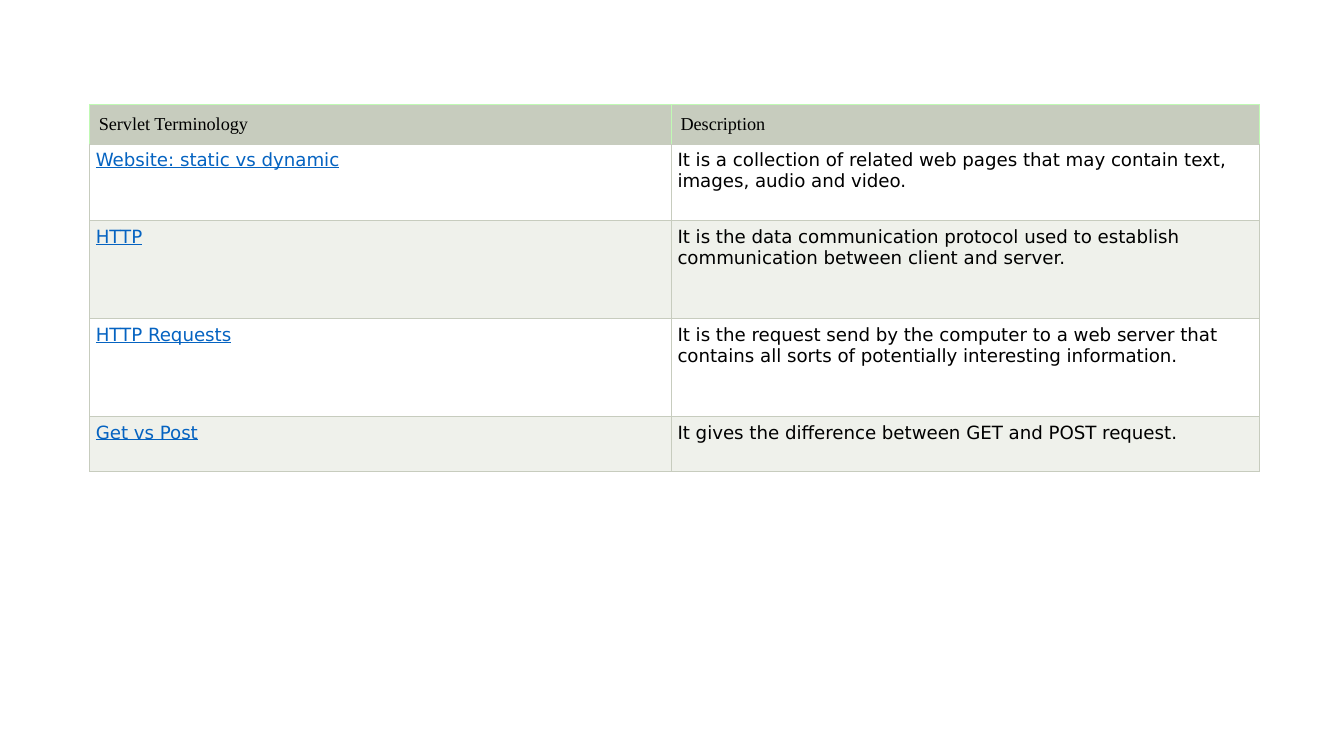
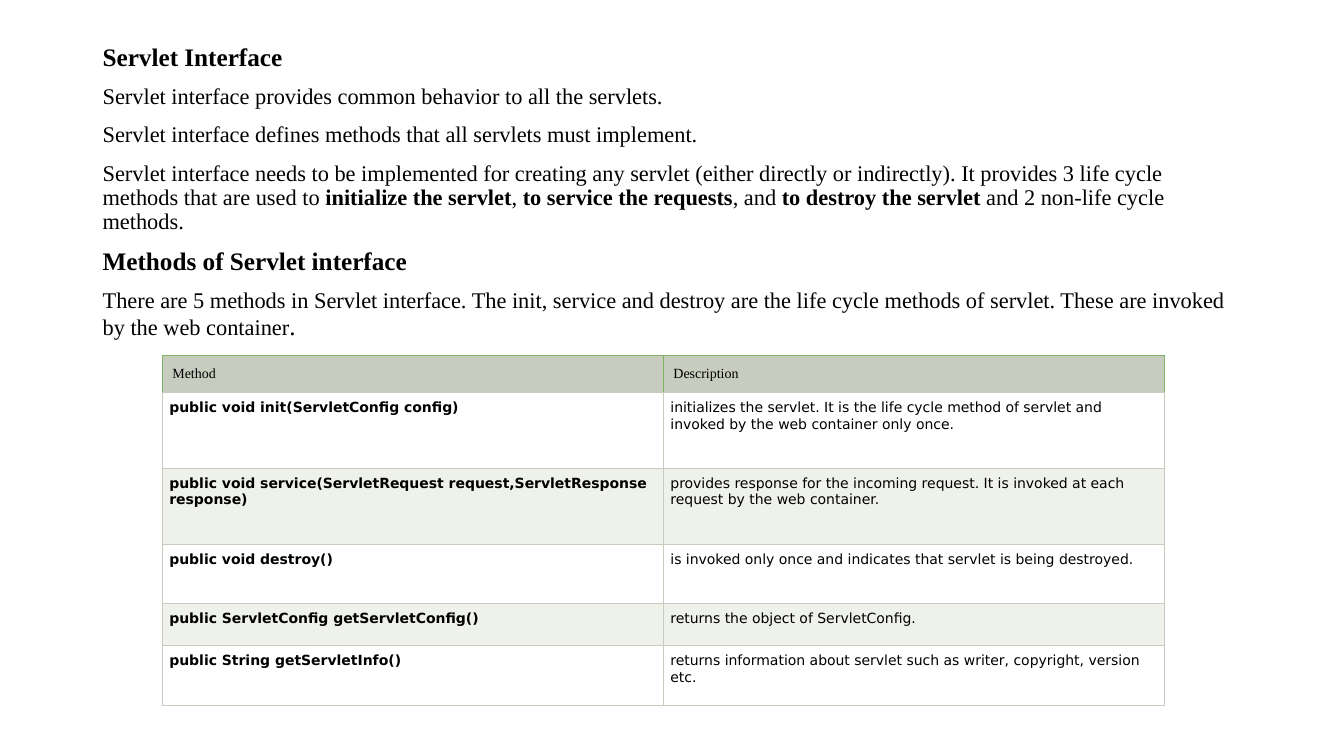
import dataclasses

import pptx
import pptx.dml.color
import pptx.enum.text
import pptx.oxml
import pptx.oxml.ns
import pptx.util

Inches = pptx.util.Inches


@dataclasses.dataclass(frozen=True)
class Theme:
    # Colours
    ink: str = "000000"
    link: str = "0563C1"
    head: str = "C7CCBE"
    bands: tuple = ("FFFFFF", "EFF1EB")
    mint: str = "C0FAB4"
    leaf: str = "80B161"
    # Fonts and sizes in points
    serif: str = "Times New Roman"
    sans: str = "DejaVu Sans"
    title: int = 18
    body: int = 16
    large: int = 13
    small: int = 10
    rule: float = 0.75


THEME = Theme()

TERMS = [
    ("Website: static vs dynamic",
     "It is a collection of related web pages that may contain text, "
     "images, audio and video."),
    ("HTTP",
     "It is the data communication protocol used to establish "
     "communication between client and server."),
    ("HTTP Requests",
     "It is the request send by the computer to a web server that "
     "contains all sorts of potentially interesting information."),
    ("Get vs Post", "It gives the difference between GET and POST request."),
]

METHODS = [
    ("public void init(ServletConfig config)",
     "initializes the servlet. It is the life cycle method of servlet and "
     "invoked by the web container only once."),
    ("public void service(ServletRequest request,ServletResponse response)",
     "provides response for the incoming request. It is invoked at each "
     "request by the web container."),
    ("public void destroy()",
     "is invoked only once and indicates that servlet is being destroyed."),
    ("public ServletConfig getServletConfig()",
     "returns the object of ServletConfig."),
    ("public String getServletInfo()",
     "returns information about servlet such as writer, copyright, version "
     "etc."),
]

# Each paragraph is a list of runs: text, size, bold
PROSE = [
    [("Servlet Interface", THEME.title, True)],
    [("Servlet interface provides common behavior to all the servlets.",
      THEME.body, False)],
    [("Servlet interface defines methods that all servlets must implement.",
      THEME.body, False)],
    [("Servlet interface needs to be implemented for creating any servlet "
      "(either directly or indirectly). It provides 3 life cycle methods "
      "that are used to ", THEME.body, False),
     ("initialize the servlet", THEME.body, True),
     (", ", THEME.body, False),
     ("to service the requests", THEME.body, True),
     (", and ", THEME.body, False),
     ("to destroy the servlet ", THEME.body, True),
     ("and 2 non-life cycle methods.", THEME.body, False)],
    [("Methods of Servlet interface", THEME.title, True)],
    [("There are 5 methods in Servlet interface. The init, service and "
      "destroy are the life cycle methods of servlet. These are invoked by "
      "the web container", THEME.body, False),
     (".", THEME.title, False)],
]


def add_run(para, text, size, font, color=THEME.ink, bold=False, line=False):
    run = para.add_run()
    run.text = text
    run.font.size = pptx.util.Pt(size)
    run.font.name = font
    run.font.bold = bold
    run.font.underline = line
    run.font.color.rgb = pptx.dml.color.RGBColor.from_string(color)


def add_prose(slide, box, paras):
    frame = slide.shapes.add_textbox(*map(Inches, box)).text_frame
    frame.word_wrap = True
    for i, runs in enumerate(paras):
        para = frame.add_paragraph() if i else frame.paragraphs[0]
        para.line_spacing = 0.9
        para.space_before = pptx.util.Pt(10 if i else 0)
        for text, size, bold in runs:
            add_run(para, text, size, THEME.serif, bold=bold)


def set_edges(cell, edge):
    """Draw left, right and top in the edge colour, bottom in grey."""
    props = cell._tc.get_or_add_tcPr()
    space = pptx.oxml.ns.nsdecls("a")
    width = pptx.util.Pt(THEME.rule)
    for side in "LRTB":
        color = THEME.head if side == "B" else edge
        props.append(pptx.oxml.parse_xml(
            f'<a:ln{side} {space} w="{width}"><a:solidFill>'
            f'<a:srgbClr val="{color}"/></a:solidFill></a:ln{side}>'))


def fill_cell(cell, text, pad, fill, edge, **style):
    set_edges(cell, edge)
    cell.fill.solid()
    cell.fill.fore_color.rgb = pptx.dml.color.RGBColor.from_string(fill)
    cell.margin_left = cell.margin_right = Inches(pad)
    cell.margin_top = cell.margin_bottom = Inches(pad)
    cell.vertical_anchor = pptx.enum.text.MSO_ANCHOR.TOP
    add_run(cell.text_frame.paragraphs[0], text, **style)


def add_grid(slide, left, top, cols, highs, heads, rows, size, pads, edge,
             first):
    """Add a table; first holds the text style of the left column."""
    frame = slide.shapes.add_table(
        len(highs), len(cols), Inches(left), Inches(top),
        Inches(sum(cols)), Inches(sum(highs)))
    grid = frame.table
    grid.first_row = grid.horz_banding = False
    for col, width in zip(grid.columns, cols):
        col.width = Inches(width)
    for row, high in zip(grid.rows, highs):
        row.height = Inches(high)
    # Header row
    for c, text in enumerate(heads):
        fill_cell(grid.cell(0, c), text, pads[0], THEME.head, edge,
                  size=size, font=THEME.serif)
    # Banded body rows
    for r, texts in enumerate(rows):
        for c, text in enumerate(texts):
            style = {} if c else first
            fill_cell(grid.cell(r + 1, c), text, pads[1], THEME.bands[r % 2],
                      THEME.head, size=size, font=THEME.sans, **style)


def main():
    deck = pptx.Presentation()
    deck.slide_width = Inches(13.33)
    deck.slide_height = Inches(7.5)
    blank = deck.slide_layouts[6]

    # Servlet terms
    slide = deck.slides.add_slide(blank)
    add_grid(slide, 0.89, 1.04, (5.77, 5.83), (0.39, 0.76, 0.97, 0.97, 0.55),
             ("Servlet Terminology", "Description"), TERMS, THEME.large,
             (0.09, 0.06), THEME.mint, {"color": THEME.link, "line": True})

    # Servlet interface and its methods
    slide = deck.slides.add_slide(blank)
    add_prose(slide, (0.92, 0.39, 11.5, 6.37), PROSE)
    add_grid(slide, 1.61, 3.53, (4.97, 4.97),
             (0.3, 0.75, 0.75, 0.59, 0.42, 0.59),
             ("Method", "Description"), METHODS, THEME.small,
             (0.1, 0.07), THEME.leaf, {"bold": True})

    deck.save("out.pptx")


if __name__ == "__main__":
    main()
